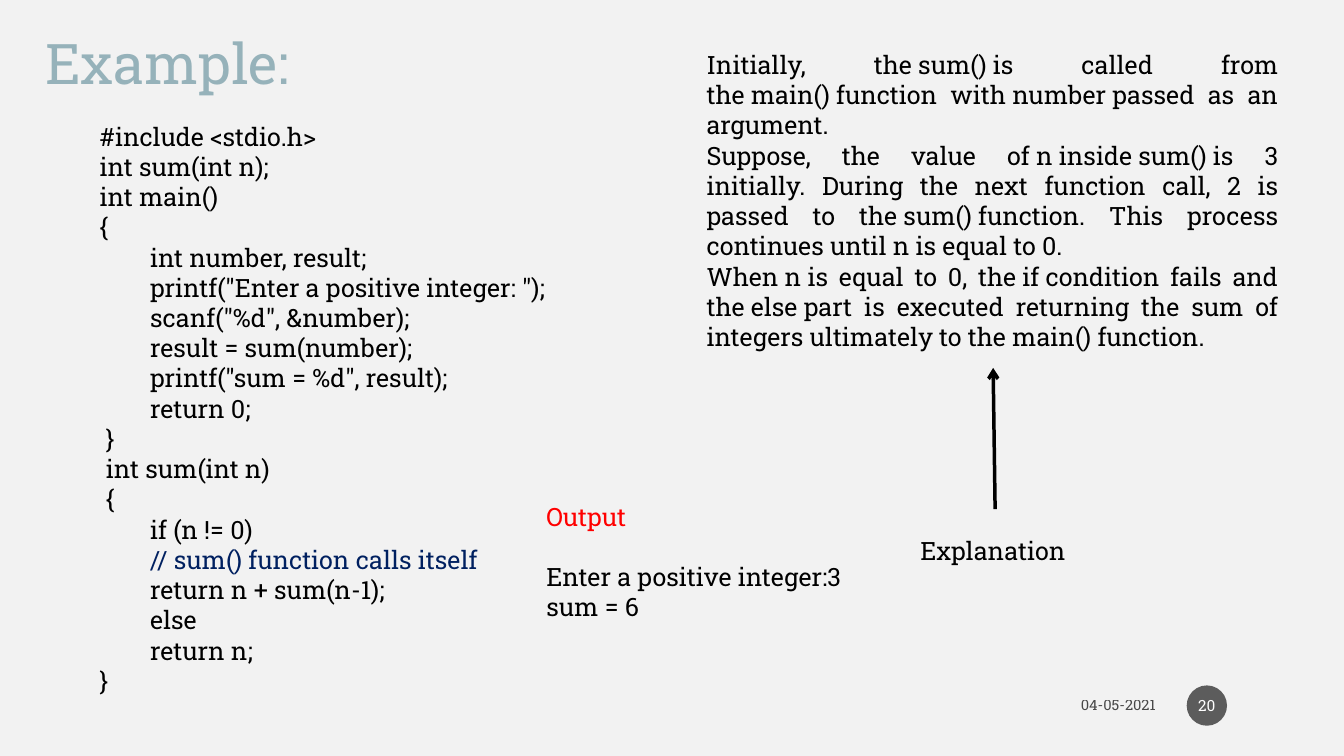
from dataclasses import dataclass

from lxml import etree
from pptx import Presentation
from pptx import util as u
from pptx.dml.color import RGBColor
from pptx.enum import shapes, text
from pptx.oxml import ns


@dataclass(frozen=True)
class Theme:
    font: str = "Roboto Slab"
    background: str = "F2F2F2"
    ink: str = "000000"
    heading: str = "96B2BA"
    comment: str = "002060"
    output: str = "FF0000"
    badge: str = "1D1D1D"
    badge_text: str = "FFFFFF"
    heading_size: float = 40
    body_size: float = 18
    date_size: float = 10.5
    badge_size: float = 11
    line_gap: float = 21.6
    footer_opacity: int = 70


THEME = Theme()
ALIGN = text.PP_ALIGN
NO_BREAK_SPACE = chr(160)

# Each tab marks one step of indentation
CODE = """#include <stdio.h>
int sum(int n);
int main()
{
\tint number, result;
\tprintf("Enter a positive integer: "); scanf("%d", &number);
\tresult = sum(number);
\tprintf("sum = %d", result);
\treturn 0;
 }
 int sum(int n)
 {
\tif (n != 0)
\t// sum() function calls itself
\treturn n + sum(n-1);
\telse
\treturn n;
}""".split("\n")

# Each tilde marks a space that keeps its neighbours on one line
EXPLANATION = [
    "Initially, the~sum()~is called from the~main()~function with~number~passed as an argument.",
    "Suppose, the value of~n~inside~sum()~is 3 initially. During the next function call, 2 is "
    "passed to the~sum()~function. This process continues until~n~is equal to 0.",
    "When~n~is equal to 0, the~if~condition fails and the~else~part is executed returning "
    "the sum of integers ultimately to the~main()~function.",
]


def rgb(value):
    return RGBColor.from_string(value)


def set_opacity(fill, percent):
    """Make a solid fill partly transparent."""
    color = fill._xPr.find(ns.qn("a:solidFill"))[0]
    etree.SubElement(color, ns.qn("a:alpha"), val=str(percent * 1000))


def write_lines(frame, lines, size=THEME.body_size, color=THEME.ink, align=ALIGN.LEFT):
    """Fill a text frame with one paragraph per line and return the paragraphs."""
    frame.word_wrap = True
    for index, line in enumerate(lines):
        paragraph = frame.paragraphs[0] if index == 0 else frame.add_paragraph()
        paragraph.text = line
        paragraph.alignment = align
        paragraph.font.name = THEME.font
        paragraph.font.size = u.Pt(size)
        paragraph.font.color.rgb = rgb(color)
    return frame.paragraphs


def add_text(slide, left, top, width, height, lines, **style):
    box = slide.shapes.add_textbox(*map(u.Inches, (left, top, width, height)))
    return write_lines(box.text_frame, lines, **style)


def add_code(slide, left, top, width, height, lines):
    paragraphs = add_text(slide, left, top, width, height,
                          [line.lstrip("\t") for line in lines])
    for paragraph, line in zip(paragraphs, lines):
        if line.startswith("\t"):
            paragraph.level = 1
            properties = paragraph._p.get_or_add_pPr()
            properties.set("marL", str(u.Inches(0.5)))
            properties.set("indent", "0")
        if line.lstrip().startswith("//"):
            paragraph.font.color.rgb = rgb(THEME.comment)


def add_output(slide, left, top, width, height, heading, lines):
    paragraphs = add_text(slide, left, top, width, height, [heading, *lines])
    paragraphs[0].font.color.rgb = rgb(THEME.output)
    paragraphs[1].space_before = u.Pt(THEME.line_gap)


def add_arrow(slide, start, end):
    arrow = slide.shapes.add_connector(
        shapes.MSO_CONNECTOR.STRAIGHT, *map(u.Inches, (*start, *end)))
    arrow.line.color.rgb = rgb(THEME.ink)
    arrow.line.width = u.Pt(2.5)
    etree.SubElement(arrow.line._get_or_add_ln(), ns.qn("a:tailEnd"), type="arrow")
    etree.SubElement(arrow._element.spPr, ns.qn("a:effectLst"))


def add_date(slide, left, top, width, height, date):
    paragraph = add_text(slide, left, top, width, height, [date],
                         size=THEME.date_size, align=ALIGN.RIGHT)[0]
    paragraph._parent.vertical_anchor = text.MSO_ANCHOR.MIDDLE
    set_opacity(paragraph.font.fill, THEME.footer_opacity)


def add_page_badge(slide, left, top, diameter, number):
    badge = slide.shapes.add_shape(
        shapes.MSO_SHAPE.OVAL, *map(u.Inches, (left, top, diameter, diameter)))
    badge.shadow.inherit = False
    badge.fill.solid()
    badge.fill.fore_color.rgb = rgb(THEME.badge)
    set_opacity(badge.fill, THEME.footer_opacity)
    badge.line.fill.background()
    frame = badge.text_frame
    frame.margin_left = frame.margin_right = u.Inches(0.02)
    frame.vertical_anchor = text.MSO_ANCHOR.MIDDLE
    write_lines(frame, [number], size=THEME.badge_size,
                color=THEME.badge_text, align=ALIGN.CENTER)


def main():
    deck = Presentation()
    deck.slide_width, deck.slide_height = u.Inches(13.33), u.Inches(7.5)
    slide = deck.slides.add_slide(deck.slide_layouts[6])
    slide.background.fill.solid()
    slide.background.fill.fore_color.rgb = rgb(THEME.background)

    # Footer
    add_date(slide, 8.55, 6.82, 3.01, 0.35, "04-05-2021")
    add_page_badge(slide, 11.77, 6.8, 0.4, "20")

    # Heading and program
    add_text(slide, 0.28, 0.23, 2.76, 0.77, ["Example:"], size=THEME.heading_size,
             color=THEME.heading, align=ALIGN.CENTER)
    add_code(slide, 0.89, 1.15, 5.81, 5.86, CODE)
    add_output(slide, 5.32, 4.92, 3.38, 1.31, "Output",
               ["Enter a positive integer:3", "sum = 6"])

    # Explanation with its labelled arrow
    add_text(slide, 6.91, 0.44, 5.87, 3.43,
             [line.replace("~", NO_BREAK_SPACE) for line in EXPLANATION],
             align=ALIGN.JUSTIFY)
    add_arrow(slide, (9.87, 5.05), (9.85, 3.65))
    add_text(slide, 9.03, 5.26, 1.7, 0.4, ["Explanation"])

    deck.save("out.pptx")


if __name__ == "__main__":
    main()
